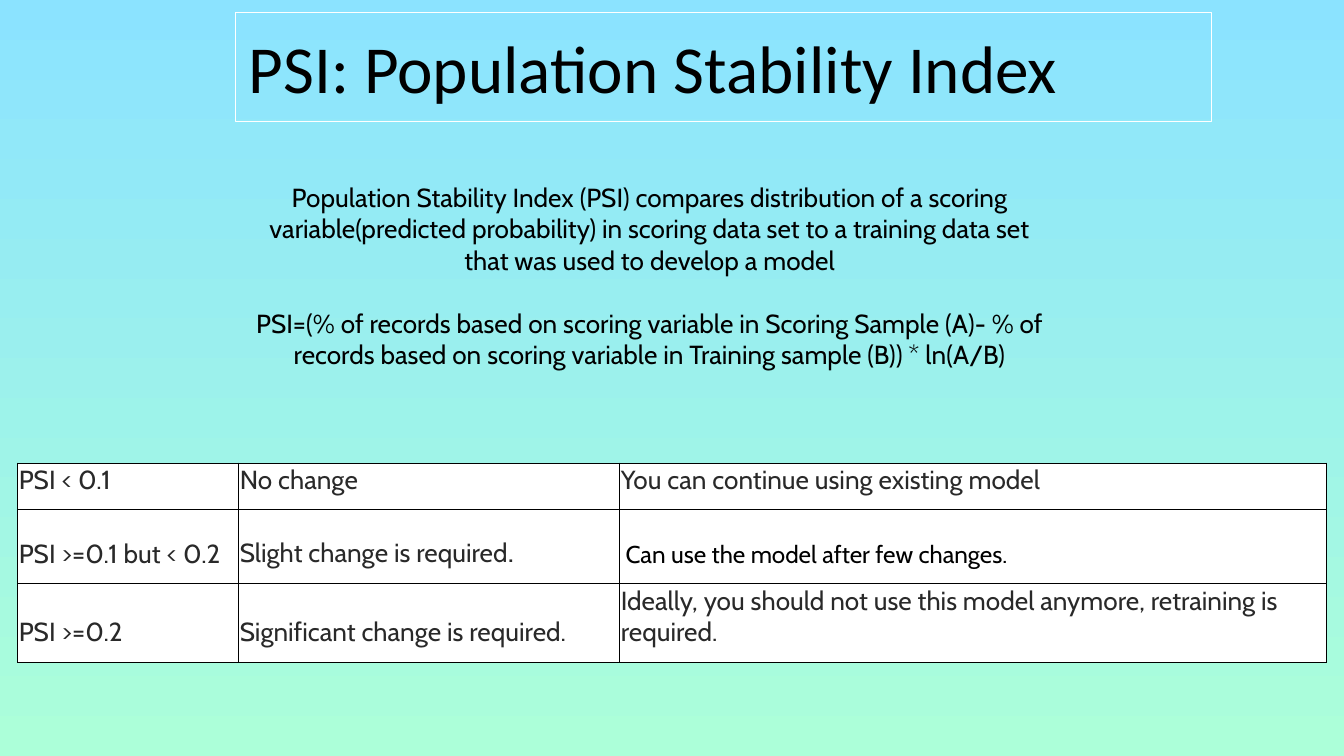
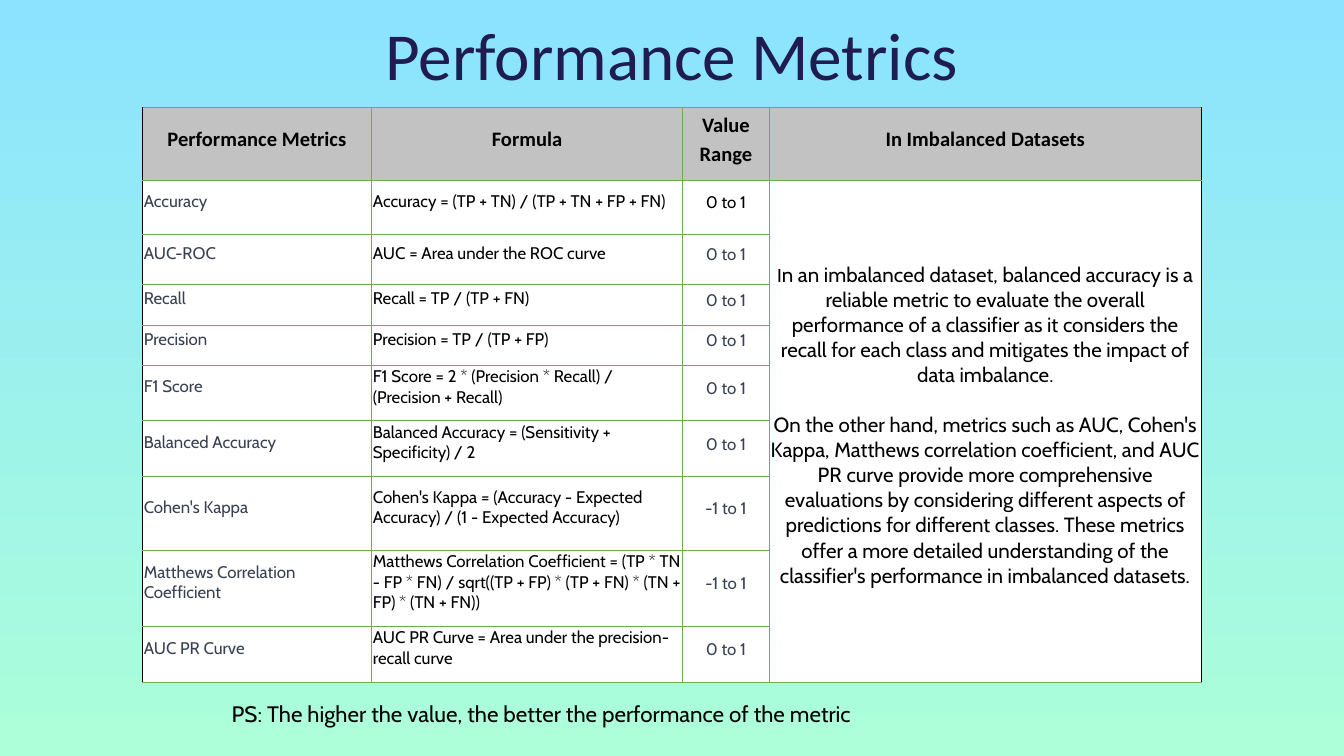
from dataclasses import dataclass, replace
from typing import Any, NamedTuple

from lxml import etree
from pptx import Presentation
from pptx.dml.color import RGBColor
from pptx.enum.text import MSO_ANCHOR, MSO_AUTO_SIZE, PP_ALIGN
from pptx.oxml.ns import qn
from pptx.util import Emu, Pt

LEFT, CENTER = PP_ALIGN.LEFT, PP_ALIGN.CENTER
TOP, MIDDLE, BOTTOM = MSO_ANCHOR.TOP, MSO_ANCHOR.MIDDLE, MSO_ANCHOR.BOTTOM
FIXED = MSO_AUTO_SIZE.NONE
TITLE_ONLY = 5
PX = 4572  # 200 px to the inch


class Box(NamedTuple):
    left: int
    top: int
    width: int
    height: int


class Look(NamedTuple):
    font: str
    size: int
    color: str
    bold: bool = False


class Run(NamedTuple):
    text: str
    look: Look


class Edge(NamedTuple):
    color: str
    points: float


@dataclass(frozen=True)
class Theme:
    sky: str = "8BE3FF"
    mint: str = "ACFFD9"
    paper: str = "FFFFFF"
    header: str = "C2C2C2"
    thin_black: Edge = Edge("000000", 0.5)
    thin_green: Edge = Edge("70AD47", 0.5)
    thick_green: Edge = Edge("70AD47", 1)
    title: Look = Look("Calibri", 36, "000000")
    navy_title: Look = Look("Calibri", 36, "1F1C51")
    body: Look = Look("Cabin", 14, "000000")
    action: Look = Look("Cabin", 13, "000000")
    footnote: Look = Look("Cabin", 12, "000000")
    rule: Look = Look("Cabin", 14, "292929")
    rule_stop: Look = Look("Cabin", 16, "292929")
    heading: Look = Look("Calibri", 11, "000000", True)
    metric: Look = Look("Cabin", 9, "374151")
    formula: Look = Look("Cabin", 9, "000000")
    advice: Look = Look("Cabin", 11, "000000")
    advice_start: Look = Look("Cabin", 10, "000000")


THEME = Theme()


@dataclass(frozen=True)
class Passage:
    """Paragraphs, each a tuple of runs, with their common layout."""
    paragraphs: tuple[tuple[Run, ...], ...]
    align: Any = LEFT
    spacing: float = 1.0
    gap: float = 0


@dataclass(frozen=True)
class CellSpec:
    passage: Passage
    anchor: Any = MIDDLE
    fill: str = THEME.paper
    indent: int = 2
    rows: int = 1


@dataclass(frozen=True)
class Grid:
    at: Box
    columns: tuple[int, ...]
    row_heights: tuple[int, ...]
    inner: Edge
    sides: Edge
    under_header: Edge


def px(length: int) -> Emu:
    return Emu(length * PX)


def apply(target: Any, formats: dict[str, Any]) -> None:
    for name, value in formats.items():
        setattr(target, name, value)


def line(text: str, look: Look, align: Any = LEFT, spacing: float = 1.0) -> Passage:
    """One paragraph in one look."""
    return Passage(((Run(text, look),),), align, spacing)


def write(frame: Any, passage: Passage) -> None:
    for index, runs in enumerate(passage.paragraphs):
        paragraph = frame.add_paragraph() if index else frame.paragraphs[0]
        apply(paragraph, {
            "alignment": passage.align,
            "line_spacing": passage.spacing,
            "space_before": Pt(passage.gap if index else 0),
        })
        for text, look in runs:
            run = paragraph.add_run()
            run.text = text
            apply(run.font, {"name": look.font, "size": Pt(look.size), "bold": look.bold})
            run.font.color.rgb = RGBColor.from_string(look.color)


def margins(left: int, right: int, top: int, bottom: int) -> dict[str, Emu]:
    return {"margin_left": px(left), "margin_right": px(right),
            "margin_top": px(top), "margin_bottom": px(bottom)}


def fill_frame(frame: Any, passage: Passage) -> None:
    apply(frame, {"word_wrap": True, "auto_size": FIXED, "vertical_anchor": TOP,
                  **margins(20, 20, 20, 20)})
    write(frame, passage)


def add_text(slide: Any, at: Box, passage: Passage) -> None:
    fill_frame(slide.shapes.add_textbox(*map(px, at)).text_frame, passage)


def add_titled_slide(deck: Any, at: Box, title: Passage) -> Any:
    slide = deck.slides.add_slide(deck.slide_layouts[TITLE_ONLY])
    apply(slide.shapes.title, dict(zip(Box._fields, map(px, at))))
    fill_frame(slide.shapes.title.text_frame, title)
    return slide


def draw_edges(cell: Any, edges: dict[str, Edge]) -> None:
    """Add cell borders; edges come in the order L, R, T, B."""
    properties = cell._tc.get_or_add_tcPr()
    for side, edge in edges.items():
        border = etree.SubElement(properties, qn(f"a:ln{side}"), w=str(Pt(edge.points)))
        solid = etree.SubElement(border, qn("a:solidFill"))
        etree.SubElement(solid, qn("a:srgbClr"), val=edge.color)


def add_grid(slide: Any, grid: Grid, rows: list[list[CellSpec]]) -> None:
    """Draw a table; a row shorter than the columns ends under a merged cell."""
    columns, heights = len(grid.columns), len(grid.row_heights)
    table = slide.shapes.add_table(heights, columns, *map(px, grid.at)).table
    apply(table, {"first_row": False, "horz_banding": False})
    for column, width in zip(table.columns, grid.columns):
        column.width = px(width)
    for row, height in zip(table.rows, grid.row_heights):
        row.height = px(height)
    for r in range(heights):
        for c in range(columns):
            draw_edges(table.cell(r, c), {
                "L": grid.inner if c else grid.sides,
                "R": grid.inner if c < columns - 1 else grid.sides,
                "T": grid.under_header if r == 1 else grid.inner,
                "B": grid.inner if r else grid.under_header,
            })
    for r, specs in enumerate(rows):
        for c, spec in enumerate(specs):
            cell = table.cell(r, c)
            if spec.rows > 1:
                cell.merge(table.cell(r + spec.rows - 1, c))
            apply(cell, {"vertical_anchor": spec.anchor, **margins(spec.indent, 2, 2, 20)})
            cell.fill.solid()
            cell.fill.fore_color.rgb = RGBColor.from_string(spec.fill)
            write(cell.text_frame, spec.passage)


def paint_background(deck: Any) -> None:
    fill = deck.slide_master.background.fill
    fill.gradient()
    fill.gradient_angle = 270
    for stop, color in zip(fill.gradient_stops, (THEME.sky, THEME.mint)):
        stop.color.rgb = RGBColor.from_string(color)


PSI_TEXT = Passage((
    (Run("Population Stability Index (PSI) compares distribution of a scoring "
         "variable(predicted probability) in scoring data set to a training data set "
         "that was used to develop a model", THEME.body),),
    (Run("PSI=(% of records based on scoring variable in Scoring Sample (A)- % of records "
         "based on scoring variable in Training sample (B)) * ln(A/B)", THEME.body),),
), CENTER, gap=16.8)

PSI_RULES = [
    ("PSI < 0.1", "No change", "You can continue using existing model"),
    ("PSI >=0.1 but < 0.2", "", ""),
    ("PSI >=0.2", "Significant change is required.",
     "Ideally, you should not use this model anymore, retraining is required."),
]
SLIGHT_CHANGE = Passage(((Run("Slight change is required", THEME.rule),
                          Run(".", THEME.rule_stop)),))
FEW_CHANGES = line("Can use the model after few changes.", THEME.action)

METRIC_HEADINGS = ("Performance Metrics", "Formula", "Value Range", "In Imbalanced Datasets")
METRICS = [
    ("Accuracy", "Accuracy = (TP + TN) / (TP + TN + FP + FN)", "0 to 1"),
    ("AUC-ROC", "AUC = Area under the ROC curve", "0 to 1"),
    ("Recall", "Recall = TP / (TP + FN)", "0 to 1"),
    ("Precision", "Precision = TP / (TP + FP)", "0 to 1"),
    ("F1 Score", "F1 Score = 2 * (Precision * Recall) / (Precision + Recall)", "0 to 1"),
    ("Balanced Accuracy", "Balanced Accuracy = (Sensitivity + Specificity) / 2", "0 to 1"),
    ("Cohen's Kappa",
     "Cohen's Kappa = (Accuracy - Expected Accuracy) / (1 - Expected Accuracy)", "-1 to 1"),
    ("Matthews Correlation Coefficient",
     "Matthews Correlation Coefficient = (TP * TN - FP * FN) / sqrt((TP + FP) * (TP + FN) "
     "* (TN + FP) * (TN + FN))", "-1 to 1"),
    ("AUC PR Curve", "AUC PR Curve = Area under the precision-recall curve", "0 to 1"),
]
IMBALANCE_ADVICE = Passage((
    (Run("I", THEME.advice_start),
     Run("n an imbalanced dataset, balanced accuracy is a reliable metric to evaluate the "
         "overall performance of a classifier as it considers the recall for each class and "
         "mitigates the impact of data imbalance.", THEME.advice)),
    (Run("On the other hand, metrics such as AUC, Cohen's Kappa, Matthews correlation "
         "coefficient, and AUC PR curve provide more comprehensive evaluations by considering "
         "different aspects of predictions for different classes. These metrics offer a more "
         "detailed understanding of the classifier's performance in imbalanced datasets.",
         THEME.advice),),
), CENTER, gap=13.4)


def build_psi_slide(deck: Any) -> None:
    slide = add_titled_slide(deck, Box(350, 19, 1453, 162),
                             line("PSI: Population Stability Index", THEME.title))
    frame_line = slide.shapes.title.line
    frame_line.color.rgb = RGBColor.from_string(THEME.paper)
    frame_line.width = Pt(0.75)
    add_text(slide, Box(354, 250, 1226, 370), PSI_TEXT)

    rows = [[CellSpec(line(text, THEME.rule), BOTTOM) for text in rule] for rule in PSI_RULES]
    slight = rows[1]
    slight[1] = replace(slight[1], passage=SLIGHT_CHANGE)
    slight[2] = replace(slight[2], passage=FEW_CHANGES, indent=9)
    black = THEME.thin_black
    add_grid(slide, Grid(Box(26, 689, 1948, 286), (329, 567, 1052), (66, 110, 110),
                         black, black, black), rows)


def build_metrics_slide(deck: Any) -> None:
    slide = add_titled_slide(deck, Box(-4, 0, 2008, 118),
                             line("Performance Metrics", THEME.navy_title, CENTER))
    rows = [[CellSpec(line(text, THEME.heading, CENTER, 1.15), fill=THEME.header)
             for text in METRIC_HEADINGS]]
    for index, (metric, formula, value_range) in enumerate(METRICS):
        range_look = THEME.metric if index else THEME.formula
        rows.append([CellSpec(line(metric, THEME.metric)),
                     CellSpec(line(formula, THEME.formula)),
                     CellSpec(line(value_range, range_look, CENTER, 1.15))])
    rows[1].append(CellSpec(IMBALANCE_ADVICE, rows=len(METRICS)))
    add_grid(slide, Grid(Box(212, 160, 1576, 814), (341, 463, 129, 643),
                         (74, 80, 75, 60, 60, 80, 80, 110, 110, 83),
                         THEME.thin_green, THEME.thin_black, THEME.thick_green), rows)
    add_text(slide, Box(325, 1022, 1358, 80),
             line("PS: The higher the value, the better the performance of the metric",
                  THEME.footnote))


def main() -> None:
    deck = Presentation()
    apply(deck, {"slide_width": px(2000), "slide_height": px(1125)})
    paint_background(deck)
    build_psi_slide(deck)
    build_metrics_slide(deck)
    deck.save("out.pptx")


if __name__ == "__main__":
    main()
